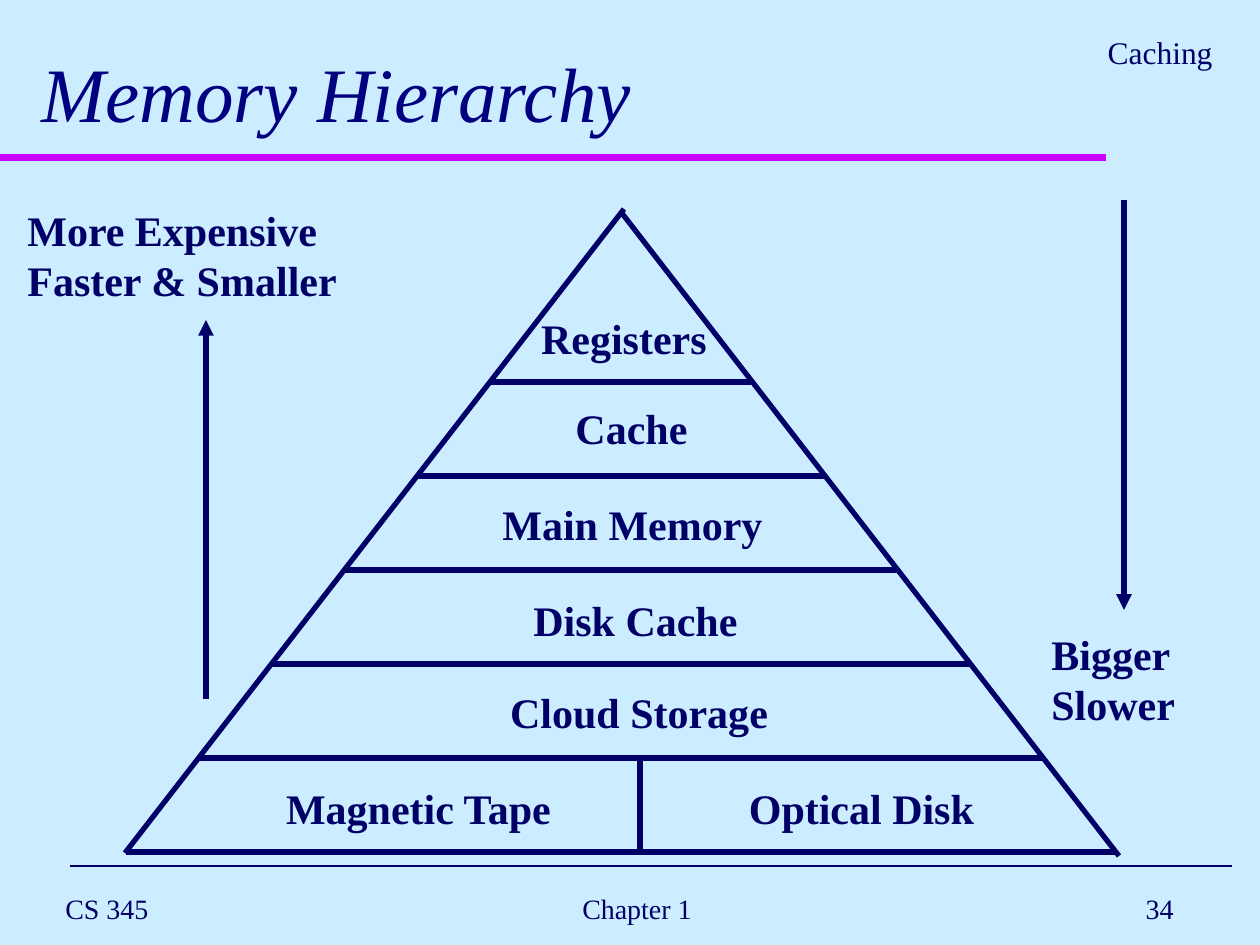
from lxml.etree import SubElement
from pptx import Presentation
from pptx.dml.color import RGBColor
from pptx.enum.shapes import MSO_CONNECTOR as Connector
from pptx.enum.text import MSO_ANCHOR as Anchor, PP_ALIGN as Align
from pptx.oxml.ns import qn
from pptx.util import Emu, Pt

SCALE = 914400 / 126
NAVY = "000066"


def color(value):
    return RGBColor.from_string(value)


def draw_line(shapes, ends, width=3, stroke=NAVY, arrow=False):
    line = shapes.add_connector(Connector.STRAIGHT, *[Emu(round(v * SCALE)) for v in ends])
    line.line.color.rgb = color(stroke)
    line.line.width = Pt(width)
    if arrow:
        SubElement(line.line._get_or_add_ln(), qn("a:tailEnd"), type="triangle")
    SubElement(line._element.spPr, qn("a:effectLst"))


def write_text(shape, box, lines, size, align=Align.LEFT, anchor=Anchor.TOP,
               wrap=True, ink=NAVY, **style):
    for side, value in zip(("left", "top", "width", "height"), box):
        setattr(shape, side, Emu(round(value * SCALE)))
    frame = shape.text_frame
    frame.word_wrap = wrap
    frame.vertical_anchor = anchor
    frame.text = "\n".join(lines)
    font_format = {"name": "Times New Roman", "size": Pt(size), **style}
    for paragraph in frame.paragraphs:
        paragraph.alignment = align
        for name, value in font_format.items():
            setattr(paragraph.font, name, value)
        paragraph.font.color.rgb = color(ink)


deck = Presentation()
deck.slide_width = Emu(round(1260 * SCALE))
deck.slide_height = Emu(round(945 * SCALE))
slide = deck.slides.add_slide(deck.slide_layouts[5])
slide.background.fill.solid()
slide.background.fill.fore_color.rgb = color("CCECFF")
shapes = slide.shapes

draw_line(shapes, (0, 158, 1106, 158), 4, "CC00FF")
draw_line(shapes, (70, 866, 1232, 866), 1)
write_text(shapes.title, (29, 37, 937, 110), ["Memory Hierarchy"], 44,
           anchor=Anchor.MIDDLE, ink="000080", italic=True)

footers = [
    ("CS 345", 53, 336, Align.LEFT),
    ("Chapter 1", 387, 500, Align.CENTER),
    ("34", 924, 262, Align.RIGHT),
]
for words, left, width, align in footers:
    write_text(shapes.add_textbox(0, 0, 0, 0), (left, 882, width, 53), [words], 16,
               align, Anchor.MIDDLE)
write_text(shapes.add_textbox(0, 0, 0, 0), (876, 27, 349, 50), ["Caching"], 18, Align.RIGHT)

for edge in [(624, 209, 125, 853), (621, 212, 1119, 856)]:
    draw_line(shapes, edge)
for level in range(6):
    floor = 382 + 94 * level
    draw_line(shapes, (491 - 73 * level, floor, 751 + 73 * level, floor))
draw_line(shapes, (640, 758, 640, 852))

storage_levels = [
    ("Registers", 523, 306, 202),
    ("Cache", 557, 396, 149),
    ("Main Memory", 484, 492, 297),
    ("Disk Cache", 515, 588, 241),
    ("Cloud Storage", 492, 680, 294),
    ("Magnetic Tape", 265, 776, 307),
    ("Optical Disk", 730, 776, 263),
]
for words, left, top, width in storage_levels:
    write_text(shapes.add_textbox(0, 0, 0, 0), (left, top, width, 63), [words], 24,
               Align.CENTER, wrap=False, bold=True)

trends = [
    ((206, 699, 206, 320), (15, 198, 382, 113), ["More Expensive", "Faster & Smaller"]),
    ((1124, 200, 1124, 610), (1039, 622, 171, 113), ["Bigger", "Slower"]),
]
for ends, box, lines in trends:
    trend = shapes.add_group_shape().shapes
    draw_line(trend, ends, arrow=True)
    write_text(trend.add_textbox(*[Emu(round(v * SCALE)) for v in box]), box, lines, 24,
               bold=True)

deck.save("out.pptx")
